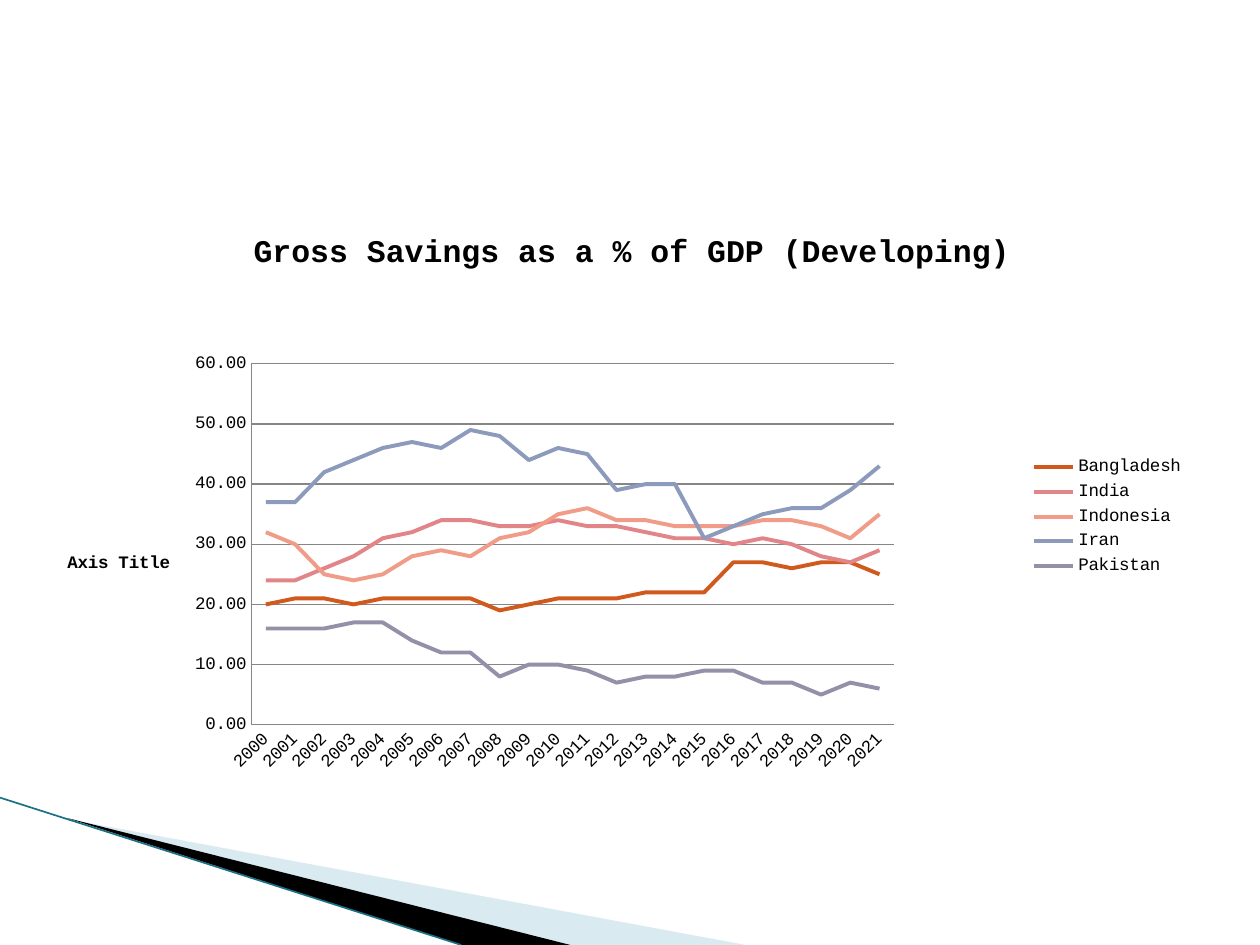
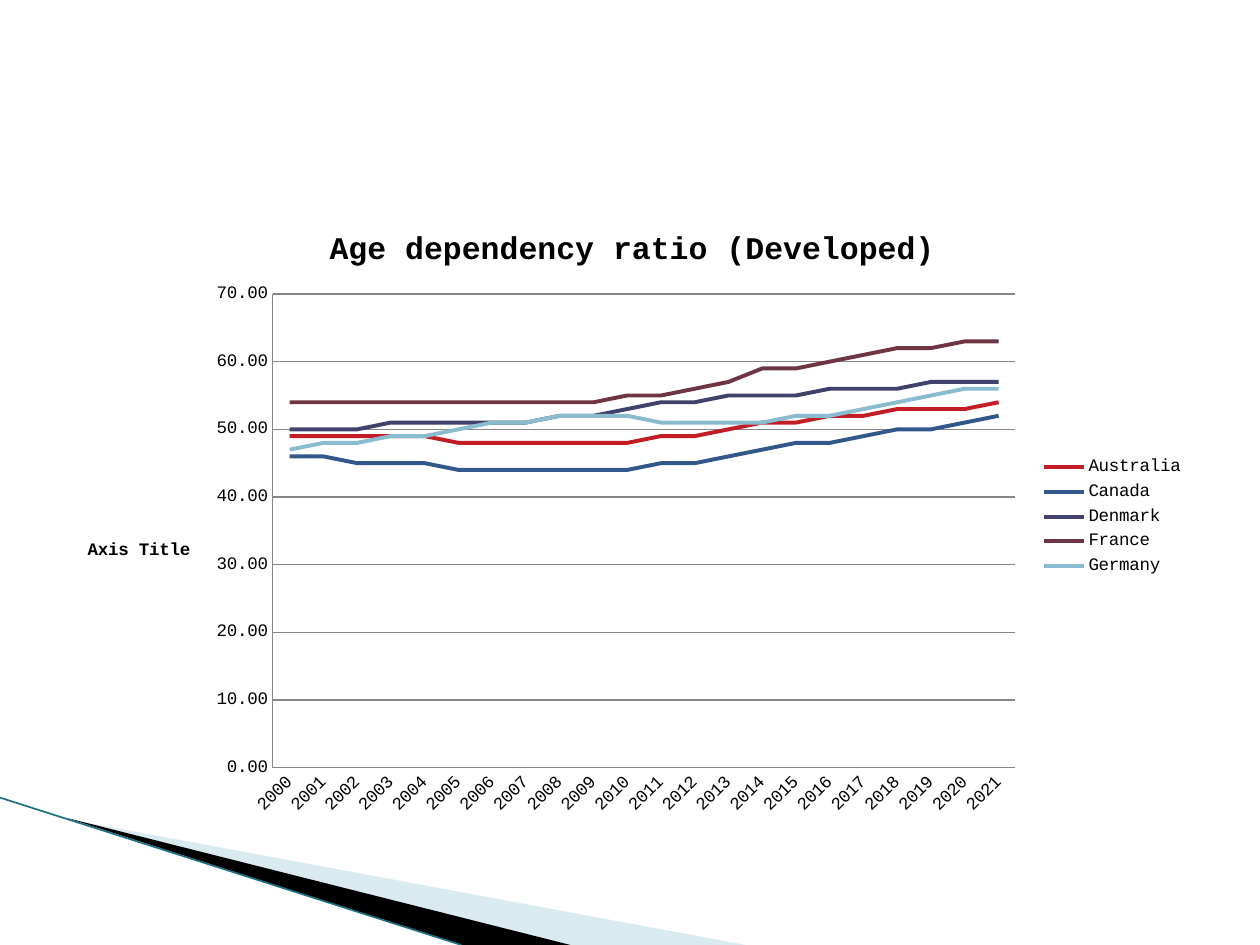
import pptx
import pptx.util
import pptx.dml.color
import pptx.chart.data
import pptx.enum.chart
import pptx.enum.shapes
import pptx.oxml
import pptx.oxml.ns
from lxml import etree

Cm = pptx.util.Cm
Pt = pptx.util.Pt
qn = pptx.oxml.ns.qn

FONT = "Courier New"
BLACK = "000000"
GRID = "868686"
PALE_BAND = "A0CBDC"
EDGE = "1B7085"
YEARS = [str(year) for year in range(2000, 2022)]

# Series: name, line colour, one value a year
SAVINGS = [
    ("Bangladesh", "D05A1B",
     [20, 21, 21, 20, 21, 21, 21, 21, 19, 20, 21,
      21, 21, 22, 22, 22, 27, 27, 26, 27, 27, 25]),
    ("India", "E28589",
     [24, 24, 26, 28, 31, 32, 34, 34, 33, 33, 34,
      33, 33, 32, 31, 31, 30, 31, 30, 28, 27, 29]),
    ("Indonesia", "F09C88",
     [32, 30, 25, 24, 25, 28, 29, 28, 31, 32, 35,
      36, 34, 34, 33, 33, 33, 34, 34, 33, 31, 35]),
    ("Iran", "8C9BBC",
     [37, 37, 42, 44, 46, 47, 46, 49, 48, 44, 46,
      45, 39, 40, 40, 31, 33, 35, 36, 36, 39, 43]),
    ("Pakistan", "9291A8",
     [16, 16, 16, 17, 17, 14, 12, 12, 8, 10, 10,
      9, 7, 8, 8, 9, 9, 7, 7, 5, 7, 6]),
]
DEPENDENCY = [
    ("Australia", "C21C25",
     [49, 49, 49, 49, 49, 48, 48, 48, 48, 48, 48,
      49, 49, 50, 51, 51, 52, 52, 53, 53, 53, 54]),
    ("Canada", "32588B",
     [46, 46, 45, 45, 45, 44, 44, 44, 44, 44, 44,
      45, 45, 46, 47, 48, 48, 49, 50, 50, 51, 52]),
    ("Denmark", "3F436B",
     [50, 50, 50, 51, 51, 51, 51, 51, 52, 52, 53,
      54, 54, 55, 55, 55, 56, 56, 56, 57, 57, 57]),
    ("France", "6F3542",
     [54, 54, 54, 54, 54, 54, 54, 54, 54, 54, 55,
      55, 56, 57, 59, 59, 60, 61, 62, 62, 63, 63]),
    ("Germany", "8ABBCF",
     [47, 48, 48, 49, 49, 50, 51, 51, 52, 52, 52,
      51, 51, 51, 51, 52, 52, 53, 54, 55, 56, 56]),
]


def rgb(code):
    return pptx.dml.color.RGBColor.from_string(code)


def style_line(line, color, width):
    line.color.rgb = rgb(color)
    line.width = Pt(width)


def add_band(slide, points, color, opacity=100):
    """Fill a corner wedge whose points are in centimetres."""
    corners = [(Cm(x), Cm(y)) for x, y in points]
    builder = slide.shapes.build_freeform(*corners[0])
    builder.add_line_segments(corners[1:], close=True)
    band = builder.convert_to_shape()
    band.shadow.inherit = False
    band.fill.solid()
    band.fill.fore_color.rgb = rgb(color)
    band.line.fill.background()
    if opacity < 100:
        tint = band.element.spPr.find(".//" + qn("a:srgbClr"))
        etree.SubElement(tint, qn("a:alpha"), val=str(opacity * 1000))


def add_corner(slide):
    """Decoration in the bottom left corner of every slide."""
    add_band(slide, [(1.4, 16.52), (15.03, 19.05), (11.5, 19.05)], PALE_BAND, 40)
    add_band(slide, [(1.35, 16.49), (11.5, 19.05), (9.3, 19.05)], BLACK)
    edge = slide.shapes.add_connector(
        pptx.enum.shapes.MSO_CONNECTOR.STRAIGHT, Cm(0), Cm(16.08), Cm(9.3), Cm(19.05))
    style_line(edge.line, EDGE, 0.95)
    etree.SubElement(edge.element.spPr, qn("a:effectLst"))


def place(part, index, inner=False, **percents):
    """Fix a chart part's place, in percent of the chart."""
    layout = part.find(qn("c:layout"))
    if layout is None:
        layout = etree.Element(qn("c:layout"))
        part.insert(index, layout)
    manual = etree.SubElement(layout, qn("c:manualLayout"))
    if inner:
        etree.SubElement(manual, qn("c:layoutTarget"), val="inner")
    for side in ("x", "y"):
        etree.SubElement(manual, qn(f"c:{side}Mode"), val="edge")
    for side, percent in percents.items():
        etree.SubElement(manual, qn(f"c:{side}"), val=str(percent / 100))


def write_title(frame, text, size):
    run = frame.paragraphs[0].add_run()
    run.text = text
    run.font.name = FONT
    run.font.size = Pt(size)
    run.font.bold = True
    run.font.color.rgb = rgb(BLACK)


def style_axes(chart, top):
    years, values = chart.category_axis, chart.value_axis
    for axis in (years, values):
        axis.major_tick_mark = pptx.enum.chart.XL_TICK_MARK.NONE
        axis.minor_tick_mark = pptx.enum.chart.XL_TICK_MARK.NONE
        style_line(axis.format.line, GRID, 0.75)
        axis.tick_labels.font.size = Pt(10)
    values.minimum_scale, values.maximum_scale, values.major_unit = 0, top, 10
    values.tick_labels.number_format = "0.00"
    values.tick_labels.number_format_is_linked = False
    values.has_major_gridlines = True
    style_line(values.major_gridlines.format.line, GRID, 0.75)
    write_title(values.axis_title.text_frame, "Axis Title", 10)

    # Slanted years, upright value title
    for path, angle in (("c:catAx/c:txPr", "-2700000"), ("c:valAx/c:title//c:rich", "0")):
        body = chart.element.xpath(f".//{path}/a:bodyPr")[0]
        body.set("rot", angle)
        body.set("vert", "horz")


def add_line_chart(slide, title, countries, top, heading, plot, axis_title):
    data = pptx.chart.data.CategoryChartData(number_format="0.00")
    data.categories = YEARS
    for name, _, values in countries:
        data.add_series(name, values)
    chart = slide.shapes.add_chart(
        pptx.enum.chart.XL_CHART_TYPE.LINE,
        Cm(1.27), Cm(4.13), Cm(22.86), Cm(12.57), data).chart
    chart.font.name = FONT
    chart.font.size = Pt(10)
    chart.font.color.rgb = rgb(BLACK)
    chart.has_title = True
    write_title(chart.chart_title.text_frame, title, 18)
    chart.chart_title.include_in_layout = False
    chart.has_legend = True
    chart.legend.position = pptx.enum.chart.XL_LEGEND_POSITION.RIGHT
    chart.legend.include_in_layout = False
    chart.plots[0].vary_by_categories = False
    for series, (_, color, _) in zip(chart.plots[0].series, countries):
        series.smooth = False
        style_line(series.format.line, color, 2.25)
    style_axes(chart, top)

    # Positions inside the chart
    place(chart.element.xpath("./c:chart/c:title")[0], 1, **heading)
    place(chart.element.xpath(".//c:plotArea")[0], 0, inner=True, **plot)
    place(chart.element.xpath(".//c:valAx/c:title")[0], 1, **axis_title)


def main():
    deck = pptx.Presentation()
    deck.slide_width, deck.slide_height = Cm(25.4), Cm(19.05)
    charts = [
        ("Gross Savings as a % of GDP (Developing)", SAVINGS, 60,
         dict(x=16.3, y=3.5),
         dict(x=16.6, y=25.5, w=56.7, h=57.9), dict(x=0.1, y=55.1)),
        ("Age dependency ratio (Developed)", DEPENDENCY, 70,
         dict(x=23, y=3.1),
         dict(x=18.5, y=14.3, w=65.5, h=76), dict(x=1.9, y=53)),
    ]
    for chart in charts:
        slide = deck.slides.add_slide(deck.slide_layouts[6])
        add_corner(slide)
        add_line_chart(slide, *chart)
    deck.save("out.pptx")


main()
